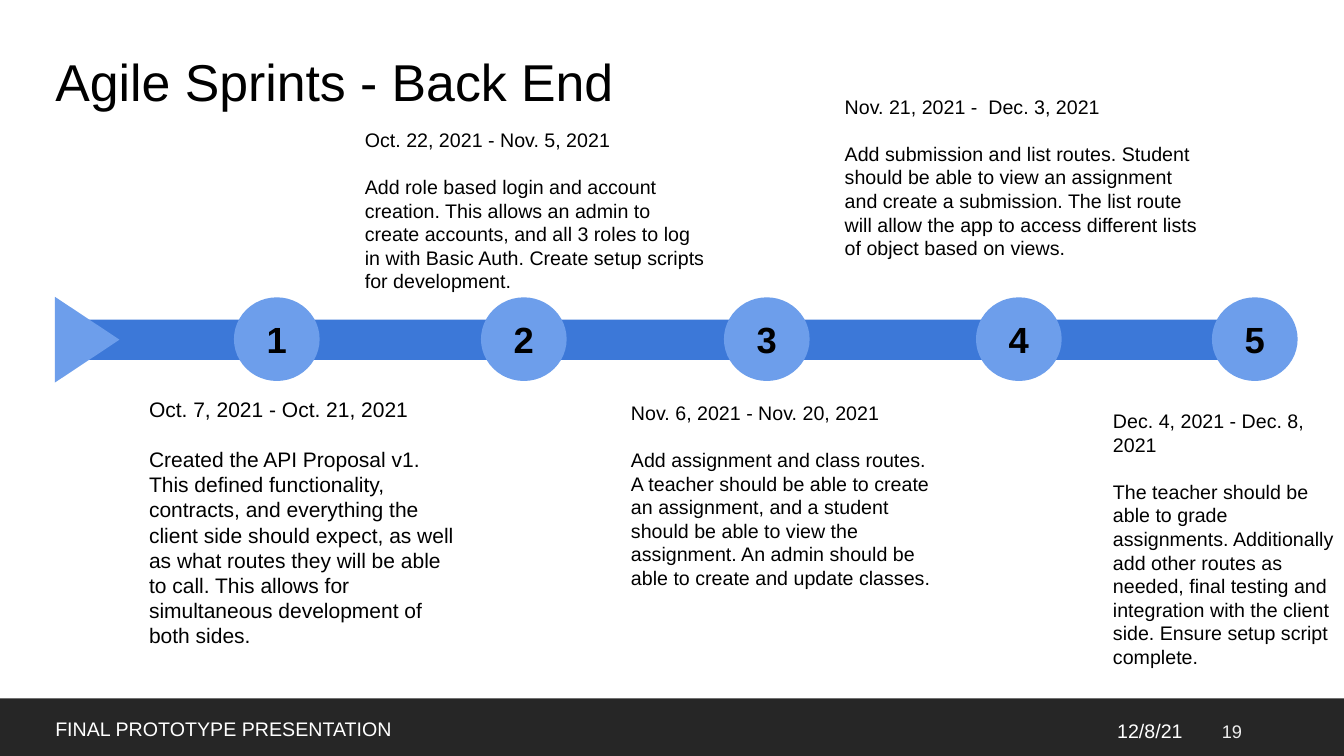
"""Build the back end sprint timeline slide."""
import pptx
import pptx.dml.color
import pptx.enum.shapes
import pptx.enum.text
import pptx.util

Inches = pptx.util.Inches
Pt = pptx.util.Pt
RGBColor = pptx.dml.color.RGBColor
Shape = pptx.enum.shapes.MSO_SHAPE
Align = pptx.enum.text.PP_ALIGN
Anchor = pptx.enum.text.MSO_ANCHOR

BLACK = RGBColor(0x00, 0x00, 0x00)
WHITE = RGBColor(0xFF, 0xFF, 0xFF)
PALE_GRAY = RGBColor(0xEF, 0xEF, 0xEF)
CHARCOAL = RGBColor(0x26, 0x26, 0x26)
BLUE = RGBColor(0x3C, 0x78, 0xD8)
LIGHT_BLUE = RGBColor(0x6D, 0x9E, 0xEB)

MARKER_TOP, MARKER_WIDTH, MARKER_HEIGHT = 2.95, 0.85, 0.83

SPRINTS = [
    (2.32, (1.38, 3.83, 3.22, 2.73), 15, "Oct. 7, 2021 - Oct. 21, 2021",
     "Created the API Proposal v1. This defined functionality, contracts, and "
     "everything the client side should expect, as well as what routes they will "
     "be able to call. This allows for simultaneous development of both sides."),
    (4.77, (3.52, 1.17, 3.62, 1.85), 14, "Oct. 22, 2021 - Nov. 5, 2021",
     "Add role based login and account creation. This allows an admin to create "
     "accounts, and all 3 roles to log in with Basic Auth. Create setup scripts "
     "for development."),
    (7.18, (6.16, 3.88, 3.22, 2.09), 14, "Nov. 6, 2021 - Nov. 20, 2021",
     "Add assignment and class routes. A teacher should be able to create an "
     "assignment, and a student should be able to view the assignment. An admin "
     "should be able to create and update classes."),
    (9.68, (8.28, 0.84, 3.74, 1.85), 14, "Nov. 21, 2021 -  Dec. 3, 2021",
     "Add submission and list routes. Student should be able to view an "
     "assignment and create a submission. The list route will allow the app to "
     "access different lists of object based on views."),
    (12.02, (10.94, 3.96, 2.39, 2.79), 14, "Dec. 4, 2021 - Dec. 8, 2021",
     "The teacher should be able to grade assignments. Additionally add other "
     "routes as needed, final testing and integration with the client side. "
     "Ensure setup script complete."),
]


class TimelinePage:
    font_name = "Arial"

    def __init__(self, deck):
        self.page = deck.slides.add_slide(deck.slide_layouts[5])

    def place(self, box, bounds):
        box.left, box.top, box.width, box.height = map(Inches, bounds)

    def fill_text(self, box, lines, size, color, bold=False, align=Align.LEFT,
                  anchor=Anchor.MIDDLE, inset=(0.1, 0.05)):
        frame = box.text_frame
        frame.text = "\n".join(lines)
        frame.word_wrap = True
        frame.auto_size = pptx.enum.text.MSO_AUTO_SIZE.NONE
        frame.vertical_anchor = anchor
        frame.margin_left = frame.margin_right = Inches(inset[0])
        frame.margin_top = frame.margin_bottom = Inches(inset[1])
        for para in frame.paragraphs:
            para.alignment = align
            for span in para.runs:
                span.font.name = self.font_name
                span.font.size = Pt(size)
                span.font.bold = bold
                span.font.color.rgb = color
        return frame.paragraphs

    def title(self, text, bounds):
        box = self.page.shapes.title
        self.place(box, bounds)
        paras = self.fill_text(box, [text], 37, BLACK, anchor=Anchor.BOTTOM)
        paras[0].line_spacing = 0.9

    def shape(self, kind, bounds, color):
        box = self.page.shapes.add_shape(kind, *map(Inches, bounds))
        box.shadow.inherit = False
        box.fill.solid()
        box.fill.fore_color.rgb = color
        box.line.fill.background()
        return box

    def marker(self, left, number):
        box = self.shape(Shape.OVAL, (left, MARKER_TOP, MARKER_WIDTH, MARKER_HEIGHT), LIGHT_BLUE)
        self.fill_text(box, [str(number)], 26, BLACK, bold=True, align=Align.CENTER, inset=(0, 0))

    def label(self, text, bounds, size=14, color=WHITE, align=Align.LEFT):
        box = self.page.shapes.add_textbox(*map(Inches, bounds))
        self.fill_text(box, [text], size, color, align=align)

    def sprint(self, dates, summary, bounds, size):
        box = self.page.shapes.add_textbox(*map(Inches, bounds))
        paras = self.fill_text(box, [dates, summary], size, BLACK,
                               anchor=Anchor.TOP, inset=(0.1, 0.1))
        line_height = Pt(size * 1.2)
        for para in paras:
            para.line_spacing = line_height
        paras[1].space_before = line_height


def main():
    deck = pptx.Presentation()
    deck.slide_width, deck.slide_height = Inches(13.33), Inches(7.5)
    timeline = TimelinePage(deck)

    timeline.shape(Shape.RECTANGLE, (0, 6.93, 13.33, 0.64), CHARCOAL)
    timeline.title("Agile Sprints - Back End", (0.45, 0.34, 12.42, 0.83))
    timeline.shape(Shape.RECTANGLE, (0.55, 3.17, 12.23, 0.4), BLUE)
    start = timeline.shape(Shape.ISOSCELES_TRIANGLE, (0.44, 3.05, 0.85, 0.64), LIGHT_BLUE)
    start.rotation = 90

    for number, (left, bounds, size, dates, summary) in enumerate(SPRINTS, 1):
        timeline.marker(left, number)
        timeline.sprint(dates, summary, bounds, size)

    timeline.label("FINAL PROTOTYPE PRESENTATION", (0.45, 7.03, 7.46, 0.4))
    timeline.label("12/8/21", (9, 7.05, 2.83, 0.4), align=Align.RIGHT)
    timeline.label("19", (12.02, 7.05, 0.85, 0.4), size=13, color=PALE_GRAY)
    deck.save("out.pptx")


if __name__ == "__main__":
    main()
